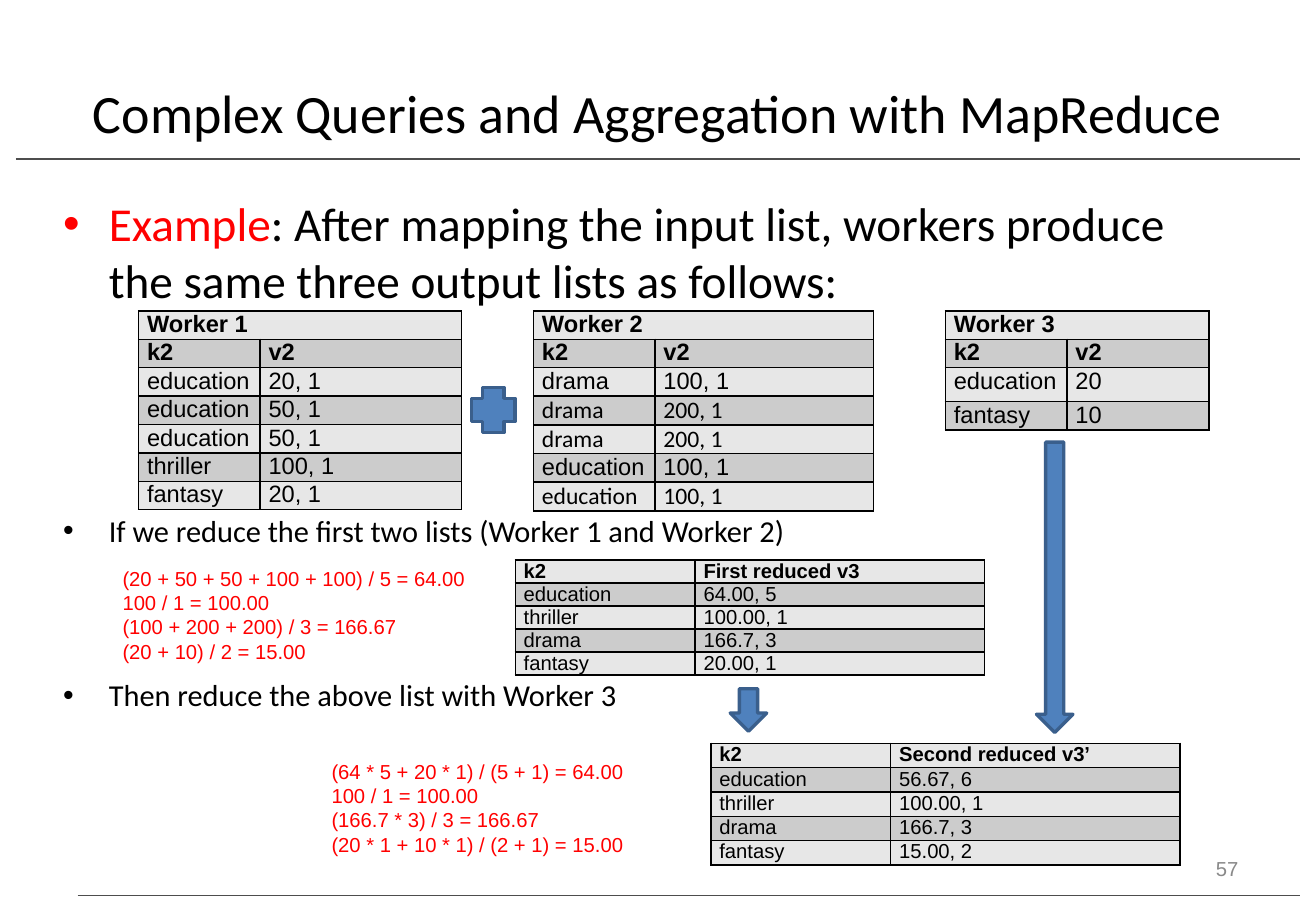
from lxml.etree import SubElement as Sub
from pptx import Presentation
from pptx.dml.color import RGBColor
from pptx.enum.shapes import MSO_CONNECTOR as LINK, MSO_SHAPE as FORM
from pptx.enum.text import MSO_ANCHOR as ANCHOR, MSO_AUTO_SIZE as FIT, PP_ALIGN as ALIGN
from pptx.oxml.ns import qn
from pptx.util import Inches, Pt


def color(code):
    return RGBColor.from_string(code)


def style(font, size, code, name="Calibri", bold=False):
    font.size, font.name, font.bold = Pt(size), name, bold
    font.color.rgb = color(code)


deck = Presentation()
deck.slide_width, deck.slide_height = Inches(10.83), Inches(7.5)
slide = deck.slides.add_slide(deck.slide_layouts[1])
shapes = slide.shapes

# Rules above and below the content
for left, top, width in [(0.13, 1.31, 1), (0.64, 7.37, 0.75)]:
    rule = shapes.add_connector(LINK.STRAIGHT, Inches(left), Inches(top), Inches(10.7), Inches(top))
    rule.line.color.rgb = color("4D4D4D")
    rule.line.width = Pt(width)
    Sub(rule.element.spPr, qn("a:effectLst"))

# Title and body frames
title, body = shapes.title, slide.placeholders[1]
for holder, top, height in [(title, 0.3, 1.25), (body, 1.55, 3.84)]:
    holder.left, holder.top = Inches(0.54 if holder is title else 0.42), Inches(top)
    holder.width, holder.height = Inches(9.75), Inches(height)
    holder.text_frame.auto_size = FIT.NONE

title.text_frame.text = "Complex Queries and Aggregation with MapReduce"
style(title.text_frame.paragraphs[0].font, 32, "000000")

# Bullets: the spacing leaves room for the tables
bullets = [
    (0, 28, [("Example", "FF0000"),
             (": After mapping the input list, workers produce the same three output lists as follows:", "000000")]),
    (121, 18, [("If we reduce the first two lists (Worker 1 and Worker 2)", "000000")]),
    (76, 18, [("Then reduce the above list with Worker 3", "000000")]),
]
frame = body.text_frame
for i, (gap, size, parts) in enumerate(bullets):
    para = frame.add_paragraph() if i else frame.paragraphs[0]
    para.space_before = Pt(gap)
    for text, code in parts:
        run = para.add_run()
        run.text = text
        style(run.font, size, code)

# Tables: left, top, columns, row height, text size, rows, Calibri rows
tables = [
    (1.14, 2.56, (1, 1.66), 0.234, 14,
     [("Worker 1",), ("k2", "v2"), ("education", "20, 1"), ("education", "50, 1"),
      ("education", "50, 1"), ("thriller", "100, 1"), ("fantasy", "20, 1")], ()),
    (4.39, 2.56, (1, 1.8), 0.234, 14,
     [("Worker 2",), ("k2", "v2"), ("drama", "100, 1"), ("drama", "200, 1"),
      ("drama", "200, 1"), ("education", "100, 1"), ("education", "100, 1")], (3, 4, 6)),
    (7.78, 2.56, (1, 1.17), 0.234, 14,
     [("Worker 3",), ("k2", "v2"), ("education", "20"), ("fantasy", "10")], ()),
    (4.24, 4.61, (1.48, 2.38), 0.19, 12,
     [("k2", "First reduced v3"), ("education", "64.00, 5"), ("thriller", "100.00, 1"),
      ("drama", "166.7, 3"), ("fantasy", "20.00, 1")], ()),
    (5.85, 6.12, (1.48, 2.38), 0.2, 12,
     [("k2", "Second reduced v3’"), ("education", "56.67, 6"), ("thriller", "100.00, 1"),
      ("drama", "166.7, 3"), ("fantasy", "15.00, 2")], ()),
]
grids = []
for left, top, cols, high, size, rows, soft in tables:
    grid = shapes.add_table(len(rows), 2, Inches(left), Inches(top),
                            Inches(sum(cols)), Inches(high * len(rows))).table
    grids.append(grid)
    for c, width in enumerate(cols):
        grid.columns[c].width = Inches(width)
    heads = 2 if len(rows[0]) == 1 else 1
    for r, row in enumerate(rows):
        grid.rows[r].height = Inches(high)
        for c in range(2):
            cell = grid.cell(r, c)
            cell.margin_left = cell.margin_right = Inches(0.07)
            cell.margin_top = cell.margin_bottom = 0
            for side in ("lnL", "lnR", "lnT", "lnB"):
                edge = Sub(cell._tc.get_or_add_tcPr(), qn("a:" + side), w=str(Pt(1)))
                Sub(Sub(edge, qn("a:solidFill")), qn("a:srgbClr"), val="000000")
            cell.fill.solid()
            cell.fill.fore_color.rgb = color("CCCCCC" if r % 2 else "E7E7E7")
            para = cell.text_frame.paragraphs[0]
            if c < len(row):
                para.text = row[c]
            style(para.font, size, "000000", "Calibri" if r in soft else "Arial", r < heads)
    if heads == 2:
        grid.cell(0, 0).merge(grid.cell(0, 1))
grids[2].rows[2].height = Inches(0.28)

# Sums beside the reduced lists
sums = [
    (0.91, 4.61, ["(20 + 50 + 50 + 100 + 100) / 5 = 64.00", "100 / 1 = 100.00",
                  "(100 + 200 + 200) / 3 = 166.67", "(20 + 10) / 2 = 15.00"]),
    (2.63, 6.2, ["(64 * 5 + 20 * 1) / (5 + 1) = 64.00", "100 / 1 = 100.00",
                 "(166.7 * 3) / 3 = 166.67", "(20 * 1 + 10 * 1) / (2 + 1) = 15.00"]),
]
for left, top, lines in sums:
    frame = shapes.add_textbox(Inches(left), Inches(top), Inches(3.22), Inches(0.91)).text_frame
    frame.word_wrap = True
    frame.text = "\n".join(lines)
    for para in frame.paragraphs:
        style(para.font, 12, "FF0000", "Arial")

# Arrows and plus sign
marks = [
    (FORM.DOWN_ARROW, 6.01, 5.67, 0.3, 0.35),
    (FORM.CROSS, 3.88, 3.19, 0.36, 0.37),
    (FORM.DOWN_ARROW, 8.53, 3.64, 0.3, 2.39),
]
for form, *place in marks:
    mark = shapes.add_shape(form, *map(Inches, place))
    mark.shadow.inherit = False
    mark.fill.solid()
    mark.fill.fore_color.rgb = color("4F81BD")
    mark.line.color.rgb = color("3A5F8C")
    mark.line.width = Pt(2)

# Page number
frame = shapes.add_textbox(Inches(7.76), Inches(6.95), Inches(2.53), Inches(0.4)).text_frame
frame.word_wrap = True
frame.vertical_anchor = ANCHOR.MIDDLE
para = frame.paragraphs[0]
para.text = "57"
para.alignment = ALIGN.RIGHT
style(para.font, 12, "898989", "Arial")

deck.save("out.pptx")
